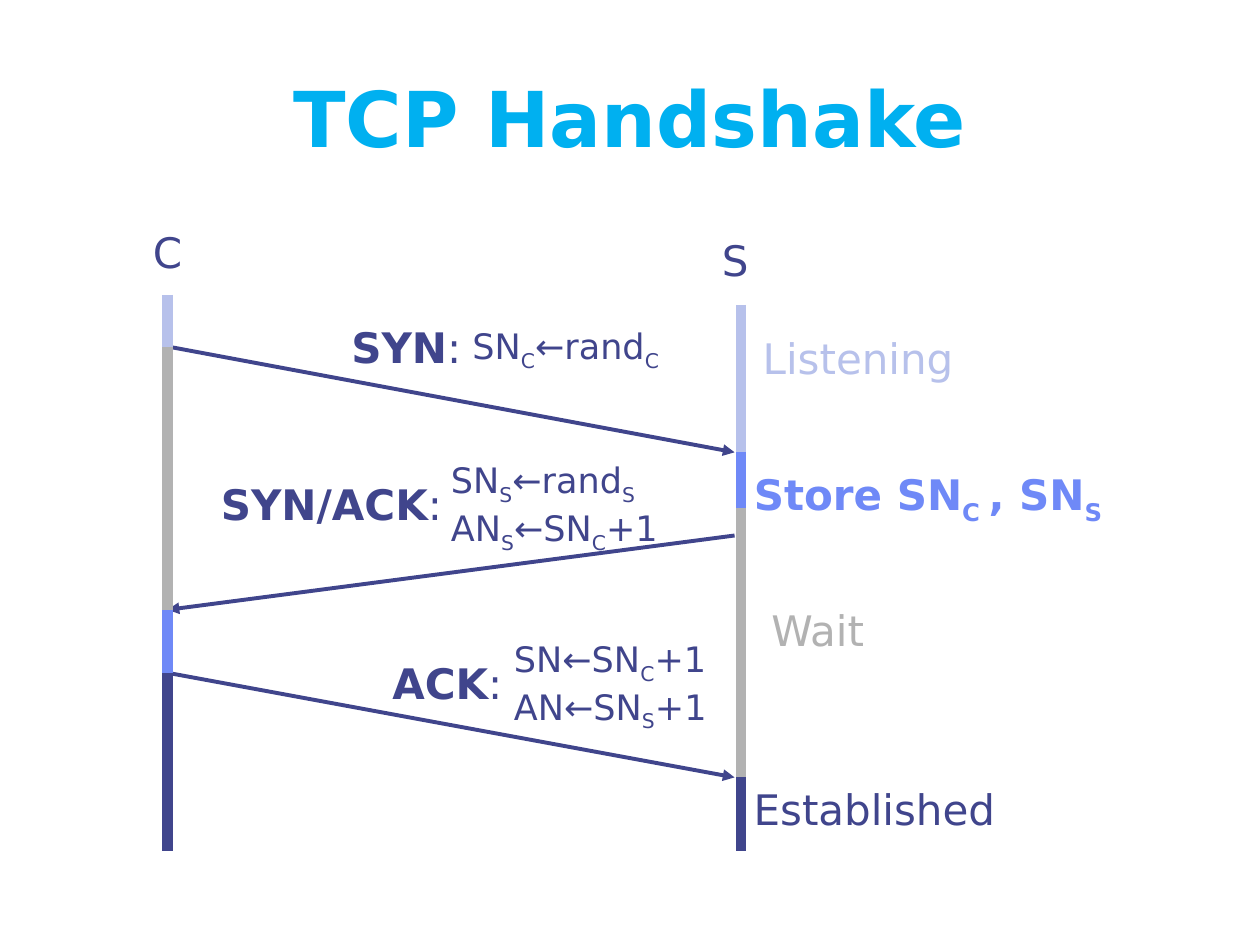
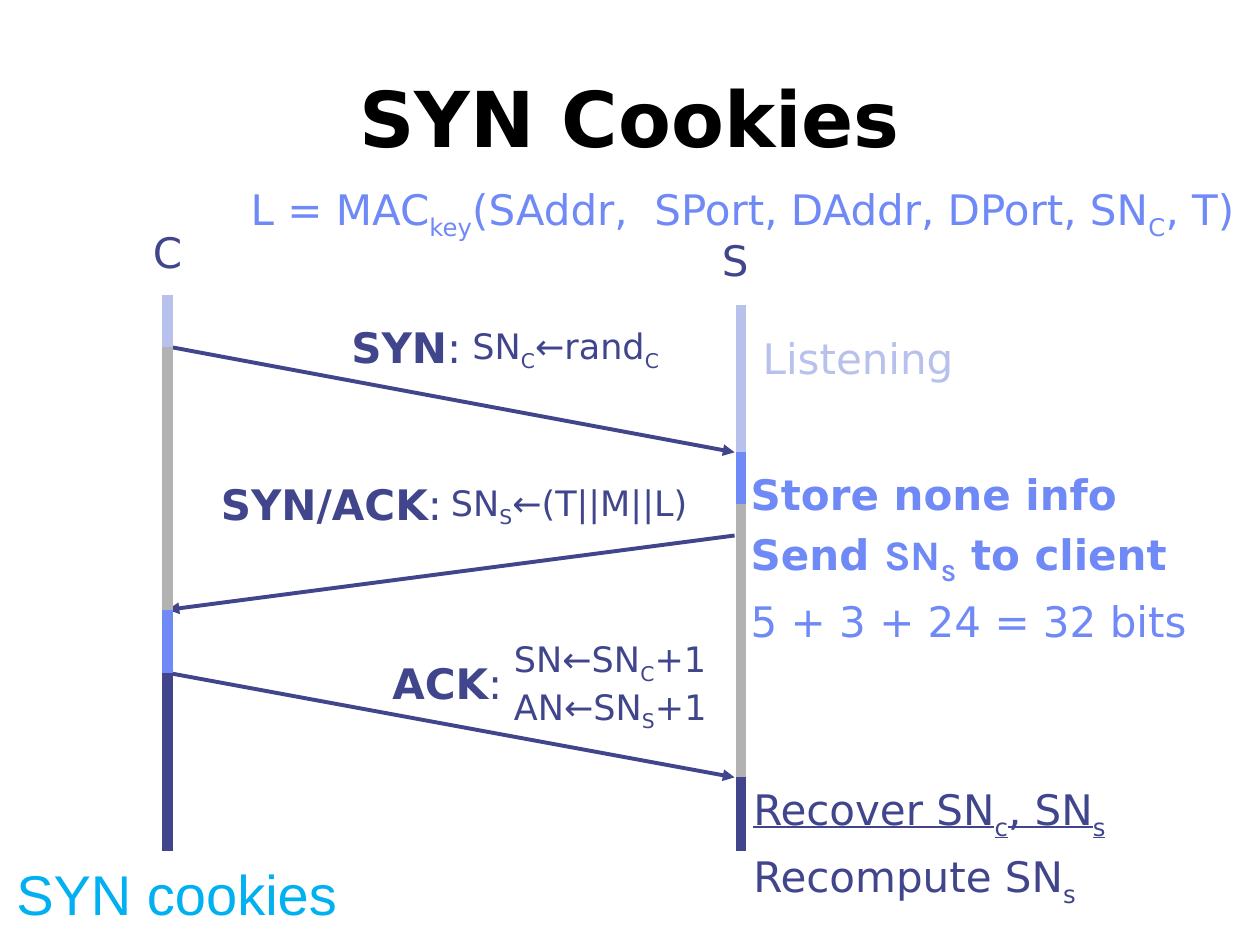
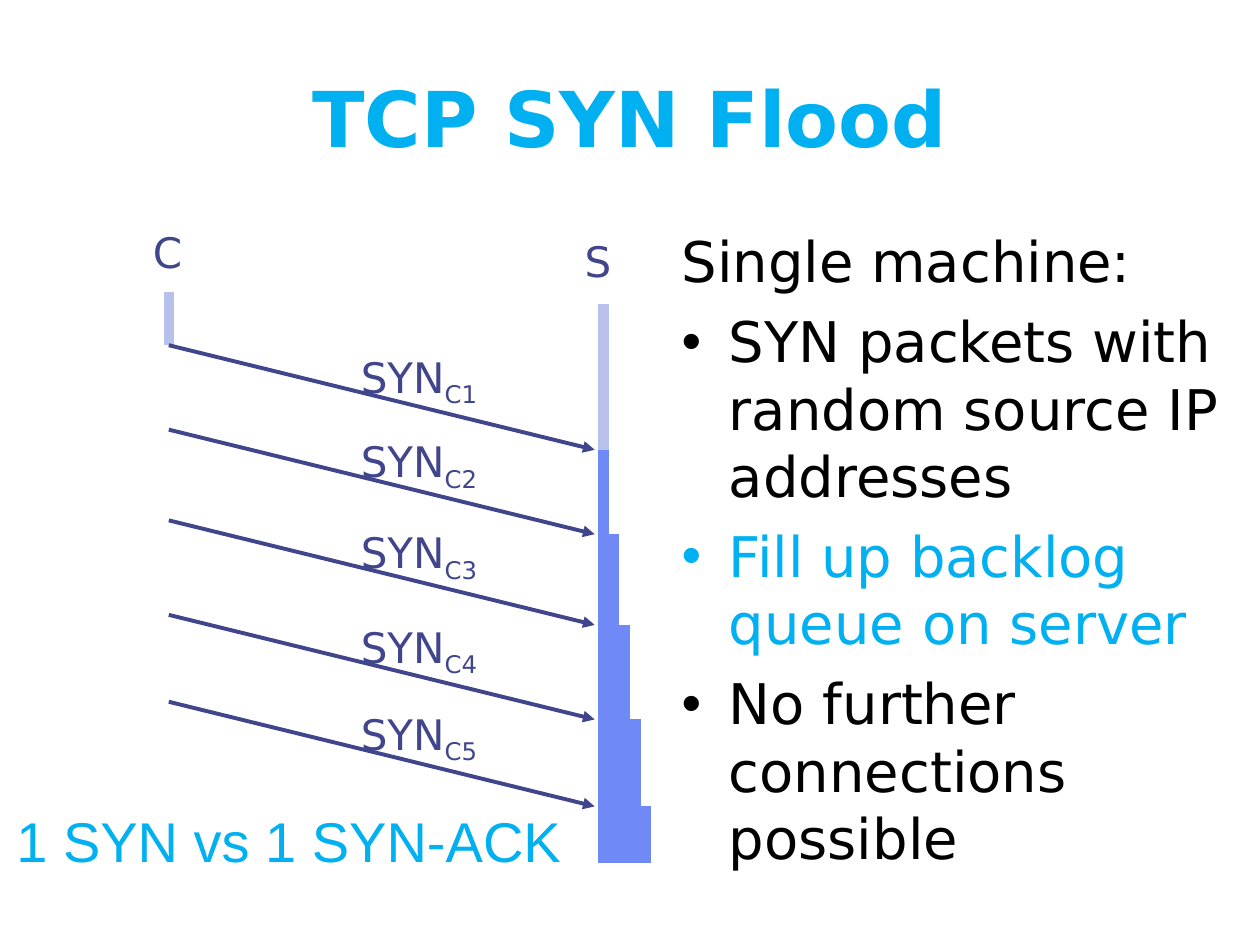
from lxml import etree
from pptx import Presentation
from pptx.dml.color import RGBColor
from pptx.enum.shapes import MSO_CONNECTOR
from pptx.enum.text import MSO_AUTO_SIZE as AutoSize, PP_ALIGN as Align
from pptx.oxml.ns import qn
from pptx.util import Inches, Pt

NAVY, BLUE, PALE, GREY = "40458C", "6F89F7", "B7C1EB", "B2B2B2"
CYAN, BLACK = "00B0F0", "000000"
CLIENT_X, SERVER_X = 1.33, 5.88
SPACING = 0.23  # paragraph gap as a share of the text size


def add_text(shapes, box, paragraphs, holder=None, size=24, color=NAVY, font="DejaVu Sans",
             bold=False, underline=False, align=Align.CENTER, wrap=False, spacing=SPACING,
             margins=(0.1, 0.05)):
    """Write paragraphs into a new text box, or into the placeholder given as holder.

    A paragraph is a string or a list of (text, format changes). Parts between
    underscores are subscripts.
    """
    shape = holder or shapes.add_textbox(0, 0, 0, 0)
    shape.left, shape.top, shape.width, shape.height = map(Inches, box)
    frame = shape.text_frame
    frame.word_wrap = wrap
    frame.auto_size = AutoSize.NONE if holder else AutoSize.SHAPE_TO_FIT_TEXT
    frame.margin_left = frame.margin_right = Inches(margins[0])
    frame.margin_top = frame.margin_bottom = Inches(margins[1])
    base = dict(font=font, color=color, bold=bold, underline=underline)
    for index, pieces in enumerate(paragraphs):
        paragraph = frame.add_paragraph() if index else frame.paragraphs[0]
        paragraph.alignment = align
        paragraph.space_before = Pt(round(size * spacing, 1))
        for text, changes in [(pieces, {})] if isinstance(pieces, str) else pieces:
            style = base | changes
            for position, part in enumerate(text.split("_")):
                if not part:
                    continue
                run = paragraph.add_run()
                run.text = part
                run.font.name = style["font"]
                run.font.size = Pt(size)
                run.font.bold = style["bold"]
                run.font.underline = style["underline"]
                run.font.color.rgb = RGBColor.from_string(style["color"])
                if position % 2:
                    run._r.get_or_add_rPr().set("baseline", "-25000")
    return shape


def add_line(shapes, start, end, color=NAVY, width=6, arrow=False):
    line = shapes.add_connector(MSO_CONNECTOR.STRAIGHT, *map(Inches, (*start, *end)))
    line.line.color.rgb = RGBColor.from_string(color)
    line.line.width = Pt(width)
    if arrow:
        etree.SubElement(line.line._get_or_add_ln(), qn("a:tailEnd"), type="triangle")
    etree.SubElement(line._element.spPr, qn("a:effectLst"))


presentation = Presentation()
presentation.slide_width, presentation.slide_height = Inches(10), Inches(7.5)
title_only, title_and_body = presentation.slide_layouts[5], presentation.slide_layouts[1]

slides = []
for layout, title, color in ((title_only, "TCP Handshake", CYAN),
                             (title_only, "SYN Cookies", BLACK),
                             (title_and_body, "TCP SYN Flood", CYAN)):
    slide = presentation.slides.add_slide(layout)
    add_text(slide.shapes, (0, 0.3, 10, 1.25), [title], holder=slide.shapes.title,
             size=44, color=color, bold=True, wrap=True, spacing=0)
    add_text(slide.shapes, (1.11, 1.75, 0.44, 0.51), ["C"])
    slides.append(slide)
handshake, cookies, flood = slides

# Message exchange shared by the handshake and the cookies slides
messages = [
    ((CLIENT_X, 2.75), (5.83, 3.59), "SYN", (2.66, 2.5, 1.13, 0.51)),
    ((5.83, 4.25), (CLIENT_X, 4.84), "SYN/ACK", (1.57, 3.75, 2.12, 0.51)),
    ((CLIENT_X, 5.34), (5.83, 6.17), "ACK", (2.99, 5.17, 1.12, 0.51)),
]
client_states = [(2.34, 2.75, PALE), (2.75, 4.84, GREY), (4.84, 5.34, BLUE), (5.34, 6.75, NAVY)]
for slide, store_end in ((handshake, 4.03), (cookies, 4)):
    shapes = slide.shapes
    server_states = [(2.42, 3.59, PALE), (3.59, store_end, BLUE),
                     (store_end, 6.17, GREY), (6.17, 6.75, NAVY)]
    for start, end, name, box in messages:
        add_line(shapes, start, end, width=2.25, arrow=True)
        add_text(shapes, box, [[(name, {"bold": True}), (":", {})]])
    for x, states in ((CLIENT_X, client_states), (SERVER_X, server_states)):
        for top, bottom, color in states:
            add_line(shapes, (x, top), (x, bottom), color)
    add_text(shapes, (5.62, 1.81, 0.43, 0.51), ["S"])
    add_text(shapes, (5.95, 2.59, 1.72, 0.51), ["Listening"], color=PALE)

syn_numbers = ((3.65, 2.53, 1.78, 0.44), ["SN_C_←rand_C_"])
ack_numbers = ((3.98, 5.01, 1.82, 0.77), ["SN←SN_C_+1", "AN←SN_S_+1"])
for slide, reply_box, reply in (
        (handshake, (3.48, 3.59, 1.95, 0.77), ["SN_S_←rand_S_", "AN_S_←SN_C_+1"]),
        (cookies, (3.48, 3.77, 2.34, 0.44), ["SN_S_←(T||M||L)"])):
    for box, lines in (syn_numbers, (reply_box, reply), ack_numbers):
        add_text(slide.shapes, box, lines, size=20, align=Align.LEFT, spacing=0)

# Server states of the handshake
add_text(handshake.shapes, (5.86, 3.67, 3.01, 0.51), ["Store SN_C _, SN_S_"],
         color=BLUE, bold=True)
add_text(handshake.shapes, (6.01, 4.75, 0.96, 0.51), ["Wait"], color=GREY)
add_text(handshake.shapes, (5.88, 6.17, 2.12, 0.51), ["Established"])

# Server work with cookies
add_text(cookies.shapes, (5.86, 3.67, 4.14, 1.47),
         ["Store none info",
          [("Send ", {}), ("SN_S_", {"font": "Karla"}), (" to client", {})],
          [("5 + 3 + 24 = 32 bits", {"bold": False})]],
         color=BLUE, bold=True, align=Align.LEFT, wrap=True)
add_text(cookies.shapes, (5.88, 6.17, 4.12, 0.99),
         [[("Recover SN_c_, SN_s_", {"underline": True})], "Recompute SN_s_"],
         align=Align.LEFT, wrap=True)
add_text(cookies.shapes, (1.6, 1.41, 8.4, 0.51),
         ["L = MAC_key_(SAddr,  SPort, DAddr, DPort, SN_C_, T) "],
         color=BLUE, align=Align.RIGHT, wrap=True)

# Flood: each SYN adds one more entry to the server's backlog
body = add_text(flood.shapes, (5.31, 1.75, 4.69, 5.75),
                ["Single machine:",
                 "SYN packets with random source IP addresses",
                 [("Fill up backlog queue on server", {"color": CYAN})],
                 "No further connections possible"],
                holder=flood.placeholders[1], size=32, color=BLACK, align=Align.LEFT, wrap=True)
heading = body.text_frame.paragraphs[0]._p.get_or_add_pPr()
heading.set("marL", "0")
heading.set("indent", "0")
etree.SubElement(heading, qn("a:buNone"))

add_line(flood.shapes, (1.34, 2.32), (1.34, 2.74), PALE)
arrows, labels, server = (flood.shapes.add_group_shape().shapes for _ in range(3))
add_text(server, (4.53, 1.82, 0.43, 0.51), ["S"])
add_line(server, (4.79, 2.41), (4.79, 3.57), PALE)
for index, sent in enumerate((2.74, 3.41, 4.13, 4.88, 5.57)):
    received = sent + 0.83
    backlog_x = 4.79 + 0.084 * index
    add_line(arrows, (1.34, sent), (4.72, received), width=2.25, arrow=True)
    add_text(labels, (2.73, sent, 1.19, 0.51), [f"SYN_C{index + 1}_"])
    add_line(server, (backlog_x, received), (backlog_x, 6.85), BLUE)

for slide, box, caption in ((cookies, (0, 6.75, 10, 0.67), "SYN cookies"),
                            (flood, (0, 6.33, 5.12, 0.67), "1 SYN vs 1 SYN-ACK")):
    add_text(slide.shapes, box, [caption], size=32, color=CYAN, font="Arial",
             align=Align.LEFT, wrap=True, spacing=0, margins=(0.13, 0.07))

presentation.save("out.pptx")
